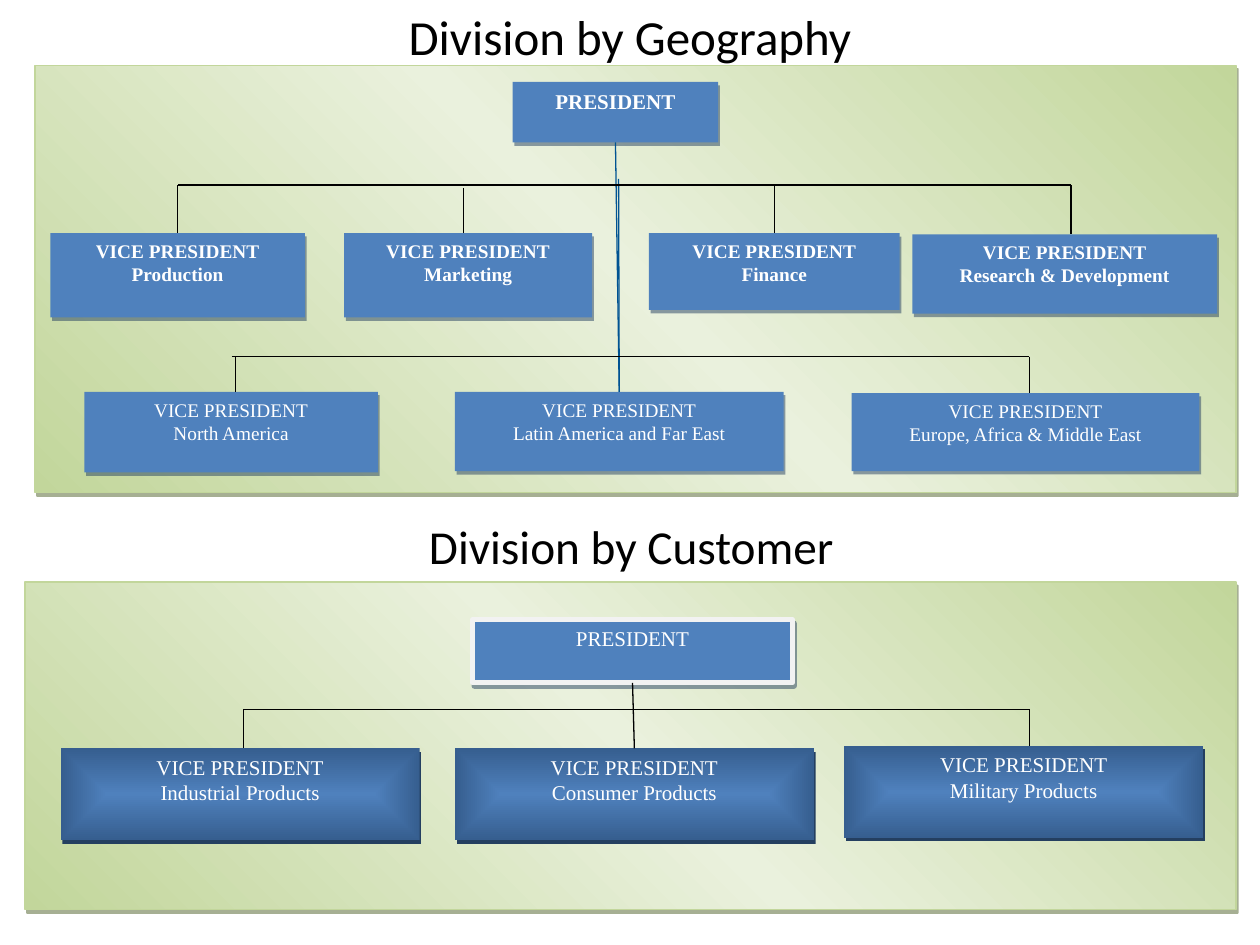
from lxml import etree
from pptx import Presentation
from pptx.dml.color import RGBColor
from pptx.enum.shapes import MSO_CONNECTOR, MSO_SHAPE
from pptx.enum.text import MSO_ANCHOR, PP_ALIGN
from pptx.oxml import parse_xml
from pptx.oxml.ns import nsdecls, qn
from pptx.util import Pt

RECT = MSO_SHAPE.RECTANGLE
STRAIGHT = MSO_CONNECTOR.STRAIGHT
CENTER = PP_ALIGN.CENTER
TOP = MSO_ANCHOR.TOP
BLACK = RGBColor(0x00, 0x00, 0x00)
WHITE = RGBColor(0xFF, 0xFF, 0xFF)
BLUE = RGBColor(0x4F, 0x81, 0xBD)
DARK_BLUE = RGBColor(0x36, 0x5E, 0x8F)
NAVY = RGBColor(0x24, 0x3F, 0x60)
TRUNK = RGBColor(0x00, 0x53, 0x92)
GREEN = RGBColor(0xC2, 0xD6, 0x9B)
PALE_GREEN = RGBColor(0xEA, 0xF1, 0xDD)
OLIVE = RGBColor(0x4E, 0x61, 0x28)
GREY = RGBColor(0xF2, 0xF2, 0xF2)
DIAGONAL = '<a:lin ang="18900000" scaled="1"/>'
FROM_CENTER = ('<a:path path="shape"><a:fillToRect l="50000" t="50000" '
               'r="50000" b="50000"/></a:path>')


def write(shape, text, size, font="Times New Roman", color=WHITE, bold=False,
          after=0):
    """Write centred, top-anchored lines of text into a shape."""
    tf = shape.text_frame
    tf.word_wrap = True
    tf.vertical_anchor = TOP
    for i, line in enumerate(text.split("\n")):
        p = tf.add_paragraph() if i else tf.paragraphs[0]
        p.alignment = CENTER
        p.space_after = Pt(after)
        r = p.add_run()
        r.text = line
        r.font.name = font
        r.font.size = Pt(size)
        r.font.bold = bold
        r.font.color.rgb = color


def add_heading(s, text, x, y, h, size):
    """Add a section heading."""
    box = s.shapes.add_textbox(Pt(x), Pt(y), Pt(648), Pt(h))
    write(box, text, size, font="Calibri", color=BLACK)


def set_gradient(sp, colors, direction):
    """Fill a shape with evenly spaced gradient stops."""
    step = 100000 // (len(colors) - 1)
    stops = "".join(f'<a:gs pos="{i * step}"><a:srgbClr val="{c}"/></a:gs>'
                    for i, c in enumerate(colors))
    sp._element.spPr.insert(2, parse_xml(
        f'<a:gradFill {nsdecls("a")} rotWithShape="1">'
        f'<a:gsLst>{stops}</a:gsLst>{direction}</a:gradFill>'))


def set_shadow(sp, color, opacity):
    """Give a shape a short, hard shadow to the lower right."""
    sp.shadow.inherit = False
    sp._element.spPr.find(qn("a:effectLst")).append(parse_xml(
        f'<a:outerShdw {nsdecls("a")} dist="{Pt(2.2)}" dir="3780000" '
        f'algn="ctr" rotWithShape="0"><a:srgbClr val="{color}">'
        f'<a:alpha val="{opacity * 1000}"/></a:srgbClr></a:outerShdw>'))


def add_rect(s, frame, line=None, width=1, shadow=NAVY, opacity=50,
             gradient=None, direction=DIAGONAL):
    """Add a shadowed rectangle, blue unless a gradient is given."""
    sp = s.shapes.add_shape(RECT, *map(Pt, frame))
    if gradient:
        set_gradient(sp, gradient, direction)
    else:
        sp.fill.solid()
        sp.fill.fore_color.rgb = BLUE
    if line:
        sp.line.color.rgb = line
        sp.line.width = Pt(width)
    else:
        sp.line.fill.background()
    set_shadow(sp, shadow, opacity)
    return sp


def add_panel(s, *frame):
    """Add the green background panel of a chart."""
    add_rect(s, frame, line=GREEN, shadow=OLIVE,
             gradient=(GREEN, PALE_GREEN, GREEN))


def add_box(s, text, frame, size=11, bold=False, after=0, **style):
    """Add a labelled position in the organisation."""
    sp = add_rect(s, frame, **style)
    write(sp, text, size, bold=bold, after=after)
    return sp


def add_line(s, x1, y1, x2, y2, color=BLACK, begin=None, end=None):
    """Draw a line, joined to a bottom side at its start or a top side at its end."""
    c = s.shapes.add_connector(STRAIGHT, Pt(x1), Pt(y1), Pt(x2), Pt(y2))
    c.line.color.rgb = color
    c.line.width = Pt(0.75)
    if begin:
        c.begin_connect(begin, 2)
    if end:
        c.end_connect(end, 0)
    etree.SubElement(c._element.spPr, qn("a:effectLst"))


def add_drop(s, y, box, x=None):
    """Drop a line from a bar to a box, joined to it when x is its middle."""
    middle = (box.left + box.width / 2) / Pt(1)
    at = middle if x is None else x
    add_line(s, at, y, at, box.top / Pt(1), end=box if x is None else None)


def add_geography(s):
    """Build the chart divided by geography."""
    add_panel(s, 20.2, 37.4, 686.2, 244.1)
    president = add_box(s, "PRESIDENT", (293, 46.8, 117.4, 34.6), 12, True)
    production, marketing, finance, research = [
        add_box(s, f"VICE PRESIDENT\n{name}", frame, bold=True)
        for name, frame in (
            ("Production", (28.8, 133.2, 145.4, 48.2)),
            ("Marketing", (196.6, 133.2, 141.8, 48.2)),
            ("Finance", (370.8, 133.2, 143.3, 43.9)),
            ("Research & Development", (521.3, 133.9, 174.2, 45.4)))]
    america, latin, europe = [
        add_box(s, f"VICE PRESIDENT\n{name}", frame)
        for name, frame in (
            ("North America", (48.2, 223.9, 167.8, 46.1)),
            ("Latin America and Far East", (259.9, 223.9, 187.9, 45.4)),
            ("Europe, Africa & Middle East", (486.7, 224.6, 198.7, 44.6)))]
    add_line(s, 353.5, 102.2, 353.9, 223.9, TRUNK, end=latin)
    add_line(s, 351.7, 81.4, 353.9, 223.9, TRUNK, begin=president, end=latin)
    add_line(s, 102, 105.8, 612, 105.8)
    add_drop(s, 105.8, production)
    add_drop(s, 107.3, marketing, 265)
    add_drop(s, 105.8, finance)
    add_drop(s, 105.8, research, 612)
    add_line(s, 132.5, 203.8, 588.2, 203.8)
    add_drop(s, 203.8, america, 134.6)
    add_drop(s, 203.8, europe, 588.2)


def add_customer(s):
    """Build the chart divided by customer."""
    add_panel(s, 14.4, 332.6, 691.9, 187.2)
    president = add_box(s, "PRESIDENT", (270, 354.2, 182.9, 36), 12,
                        after=10, line=GREY, width=3)
    industrial, consumer, military = [
        add_box(s, f"VICE PRESIDENT\n{name} Products", (x, y, 205.2, 52.6), 12,
                opacity=100, gradient=(BLUE, DARK_BLUE), direction=FROM_CENTER)
        for name, x, y in (("Industrial", 34.6, 427.7),
                           ("Consumer", 259.9, 427.7),
                           ("Military", 482.4, 426.2))]
    add_line(s, 361.5, 390.2, 362.5, 427.7, begin=president, end=consumer)
    add_line(s, 139, 405.4, 588.2, 405.4)
    add_drop(s, 405.4, industrial, 139)
    add_drop(s, 405.4, military, 588.2)


def main():
    """Build the slide and save it."""
    prs = Presentation()
    prs.slide_width, prs.slide_height = Pt(720), Pt(540)
    s = prs.slides.add_slide(prs.slide_layouts[6])
    add_heading(s, "Division by Geography", 36, 0, 31.7, 28)
    add_heading(s, "Division by Customer", 36.7, 292.3, 33.8, 27)
    add_geography(s)
    add_customer(s)
    prs.save("out.pptx")


if __name__ == "__main__":
    main()
